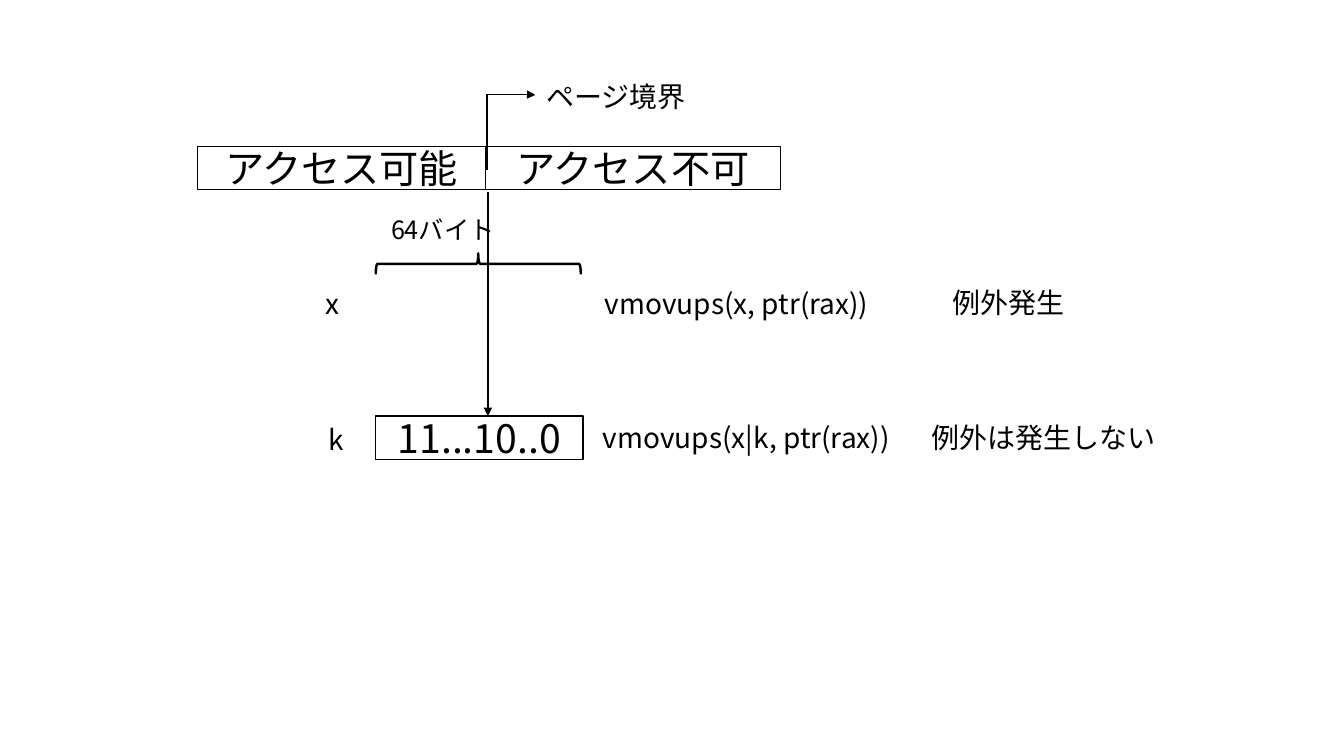
from dataclasses import dataclass
from lxml.etree import SubElement
from pptx import Presentation
from pptx.dml.color import RGBColor
from pptx.enum.shapes import MSO_CONNECTOR as Connector, MSO_SHAPE as Shape
from pptx.enum.text import MSO_ANCHOR as Anchor, MSO_AUTO_SIZE as AutoSize, PP_ALIGN as Align
from pptx.oxml.ns import qn
from pptx.util import Pt


@dataclass(frozen=True)
class Theme:
    ink: RGBColor = RGBColor(0, 0, 0)
    font: str = "Noto Sans CJK JP"
    box_size: int = 28
    label_size: int = 20
    note_size: int = 18
    box_line: float = 1
    arrow_line: float = 1.25
    brace_line: float = 1.75


theme = Theme()
presentation = Presentation()
presentation.slide_width, presentation.slide_height = Pt(960), Pt(540)
slide = presentation.slides.add_slide(presentation.slide_layouts[6])


def write(shape, text, size=theme.label_size, align=Align.LEFT, anchor=Anchor.TOP, wrap=True):
    frame = shape.text_frame
    frame.word_wrap = wrap
    frame.vertical_anchor = anchor
    paragraph = frame.paragraphs[0]
    paragraph.alignment = align
    run = paragraph.add_run()
    run.text = text
    run.font.size = Pt(size)
    run.font.color.rgb = theme.ink
    run.font.name = theme.font
    SubElement(run.font._element, qn("a:ea"), typeface=theme.font)


def add_arrow(kind, begin_x, begin_y, end_x, end_y):
    arrow = slide.shapes.add_connector(kind, Pt(begin_x), Pt(begin_y), Pt(end_x), Pt(end_y))
    arrow.line.color.rgb = theme.ink
    arrow.line.width = Pt(theme.arrow_line)
    SubElement(arrow.line._get_or_add_ln(), qn("a:tailEnd"), type="triangle")
    SubElement(arrow._element.spPr, qn("a:effectLst"))
    return arrow


box_height = 31
for text, left, top, width in [
    ("アクセス可能", 141.2, 104.5, 205.5),
    ("アクセス不可", 346.8, 104.5, 210.6),
    ("11...10..0", 268.2, 297.2, 148.3),
]:
    box = slide.shapes.add_shape(Shape.RECTANGLE, Pt(left), Pt(top), Pt(width), Pt(box_height))
    box.shadow.inherit = False
    box.fill.background()
    box.line.color.rgb = theme.ink
    box.line.width = Pt(theme.box_line)
    write(box, text, size=theme.box_size, align=Align.CENTER, anchor=Anchor.MIDDLE)

brace = slide.shapes.add_shape(Shape.RIGHT_BRACE, Pt(334.1), Pt(115.2), Pt(15.1), Pt(146.5))
brace.rotation = 270
brace.shadow.inherit = False
brace.fill.background()
brace.line.color.rgb = theme.ink
brace.line.width = Pt(theme.brace_line)

boundary_arrow = add_arrow(Connector.ELBOW, 392, 112, 338.2, 77.4)
boundary_geometry = boundary_arrow._element.spPr
boundary_geometry.find(qn("a:xfrm")).set("rot", "5400000")
adjustments = boundary_geometry.find(qn("a:prstGeom")).find(qn("a:avLst"))
SubElement(adjustments, qn("a:gd"), name="adj1", fmla="val 100400")

add_arrow(Connector.STRAIGHT, 348.5, 137, 348.5, 297.2)

for text, left, top, width, size in [
    ("ページ境界", 383, 53.3, 133.2, theme.label_size),
    ("64バイト", 272.2, 149.8, 101.5, theme.note_size),
    ("x", 225.4, 200.9, 43.9, theme.label_size),
    ("vmovups(x, ptr(rax))", 424.8, 200.9, 214.6, theme.label_size),
    ("例外発生", 673.2, 200.2, 133.2, theme.label_size),
    ("k", 227.5, 298.1, 29.5, theme.label_size),
    ("vmovups(x|k, ptr(rax))", 423.4, 296.9, 229, theme.label_size),
    ("例外は発生しない", 658.1, 296.6, 194.4, theme.label_size),
]:
    label = slide.shapes.add_textbox(Pt(left), Pt(top), Pt(width), Pt(size * 1.6))
    label.text_frame.auto_size = AutoSize.SHAPE_TO_FIT_TEXT
    write(label, text, size=size)

presentation.save("out.pptx")
